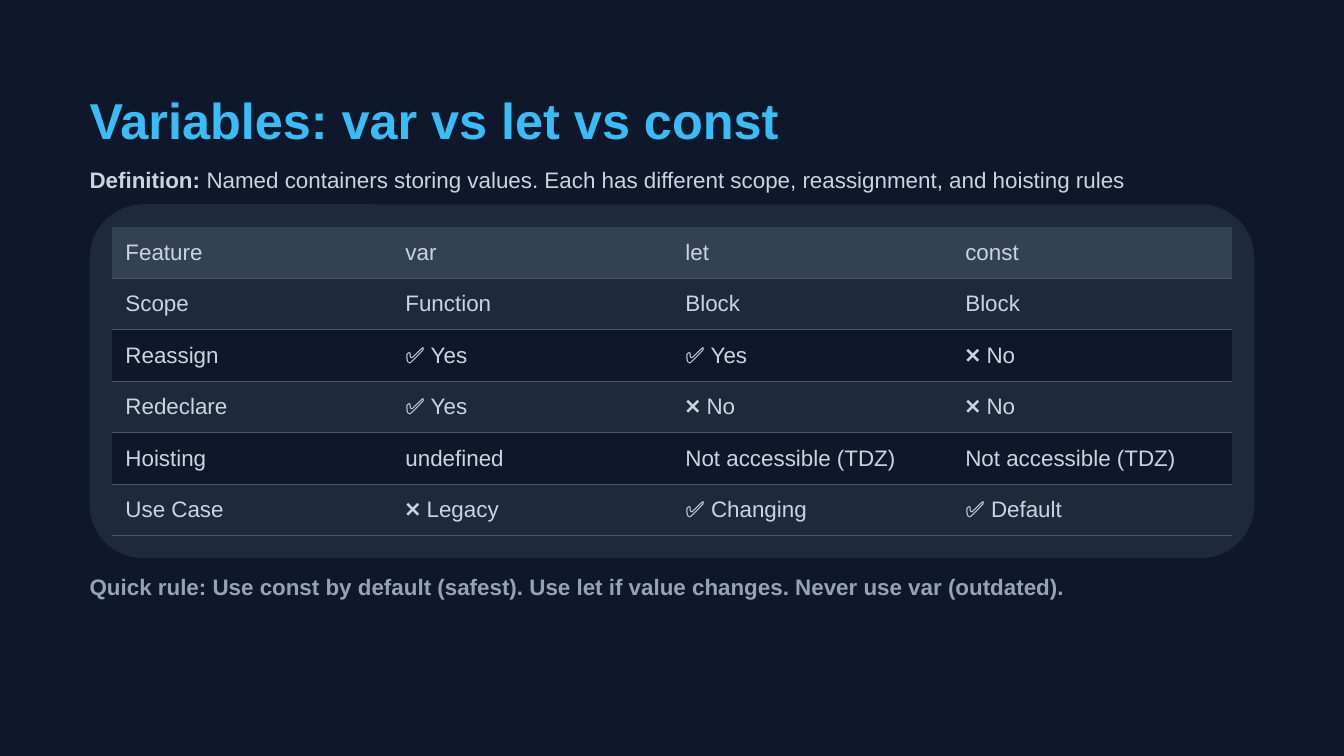
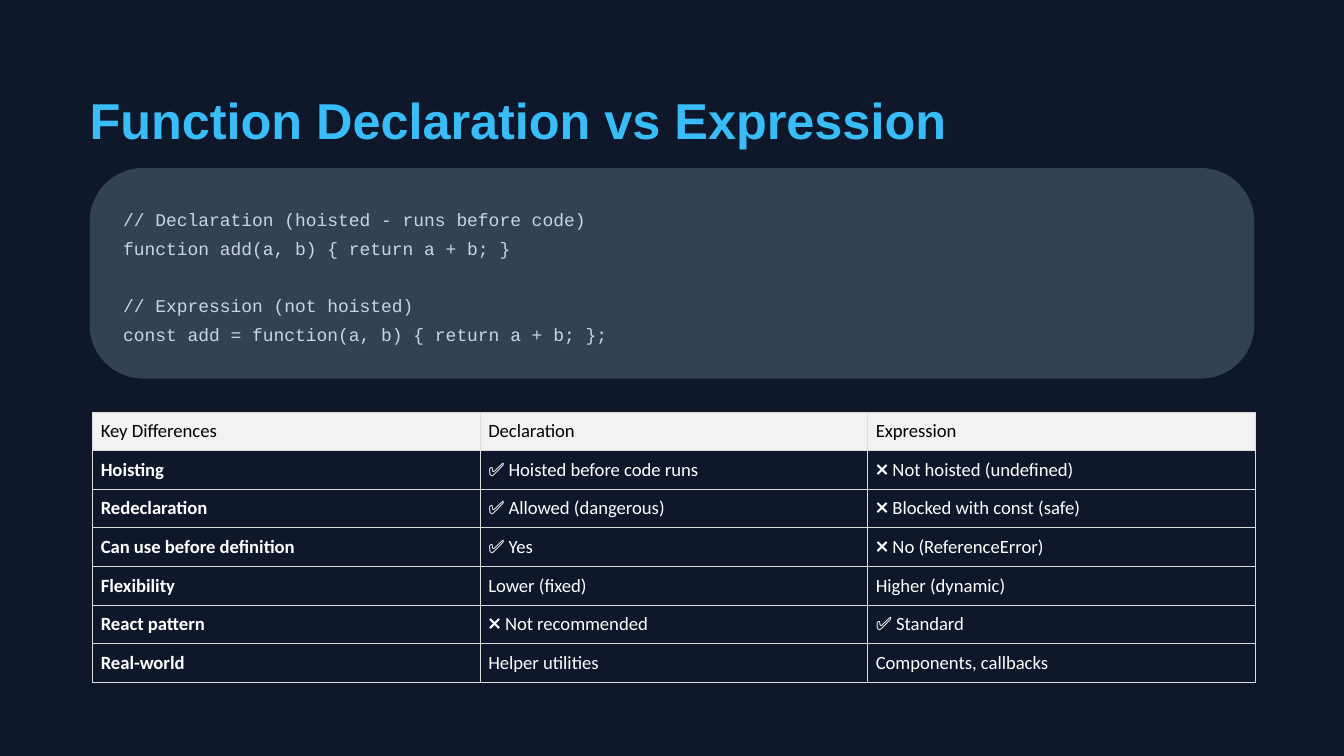
from dataclasses import dataclass

from lxml.etree import SubElement
from pptx import Presentation
from pptx.dml.color import RGBColor
from pptx.enum.shapes import MSO_SHAPE as Shape
from pptx.enum.text import MSO_ANCHOR as Anchor
from pptx.oxml.ns import qn
from pptx.util import Inches, Pt

NIGHT = RGBColor(0x0F, 0x17, 0x2A)
PANEL = RGBColor(0x1E, 0x29, 0x3B)
SLATE = RGBColor(0x33, 0x41, 0x55)
RULE = RGBColor(0x47, 0x55, 0x69)
MUTED = RGBColor(0x94, 0xA3, 0xB8)
PALE = RGBColor(0xCB, 0xD5, 0xE1)
SKY = RGBColor(0x38, 0xBD, 0xF8)
WHITE = RGBColor(0xFF, 0xFF, 0xFF)
BLACK = RGBColor(0x00, 0x00, 0x00)
HEADER_GREY = RGBColor(0xF2, 0xF2, 0xF2)
GRID_GREY = RGBColor(0xDD, 0xDD, 0xDD)

# The slide is a grid of square units, 60 columns wide
SLIDE_W, SLIDE_H = Inches(10), Inches(5.625)
UNIT = SLIDE_W / 60


@dataclass
class Box:
    """An area in grid units."""
    left: float
    top: float
    width: float
    height: float

    def emu(self):
        return [round(n * UNIT) for n in (self.left, self.top, self.width, self.height)]

    def inset(self, by):
        return Box(self.left + by, self.top + by, self.width - 2 * by, self.height - 2 * by)


TITLE = Box(4, 4, 53, 2.7)
DEFINITION = Box(4, 7.2, 53, 1.4)
FEATURE_CARD = Box(4, 9.12, 52, 15.8)
QUICK_RULE = Box(4, 25.4, 53, 1.45)
CODE_CARD = Box(4, 7.5, 52, 9.4)
DIFFERENCES = Box(4.14, 18.4, 51.9, 11.64)

FEATURES = [
    ["Feature", "var", "let", "const"],
    ["Scope", "Function", "Block", "Block"],
    ["Reassign", "✅ Yes", "✅ Yes", "❌ No"],
    ["Redeclare", "✅ Yes", "❌ No", "❌ No"],
    ["Hoisting", "undefined", "Not accessible (TDZ)", "Not accessible (TDZ)"],
    ["Use Case", "❌ Legacy", "✅ Changing", "✅ Default"],
]
KEY_DIFFERENCES = [
    ["Key Differences", "Declaration", "Expression"],
    ["Hoisting", "✅ Hoisted before code runs", "❌ Not hoisted (undefined)"],
    ["Redeclaration", "✅ Allowed (dangerous)", "❌ Blocked with const (safe)"],
    ["Can use before definition", "✅ Yes", "❌ No (ReferenceError)"],
    ["Flexibility", "Lower (fixed)", "Higher (dynamic)"],
    ["React pattern", "❌ Not recommended", "✅ Standard"],
    ["Real-world", "Helper utilities", "Components, callbacks"],
]
CODE_SAMPLES = [
    ["// Declaration (hoisted - runs before code)",
     "function add(a, b) { return a + b; }"],
    ["// Expression (not hoisted)",
     "const add = function(a, b) { return a + b; };"],
]


def style(font, size, color, bold=False, name="Arial"):
    font.name, font.size, font.bold = name, Pt(size), bold
    font.color.rgb = color


def add_frame(slide, box):
    frame = slide.shapes.add_textbox(*box.emu()).text_frame
    frame.word_wrap = True
    frame.margin_left = frame.margin_right = frame.margin_top = frame.margin_bottom = 0
    return frame


def add_line(slide, box, parts, size, spacing, color):
    """One line of text made of (text, bold) parts."""
    line = add_frame(slide, box).paragraphs[0]
    line.line_spacing = Pt(spacing)
    for text, bold in parts:
        run = line.add_run()
        run.text = text
        style(run.font, size, color, bold)


def add_card(slide, box, fill, roundness):
    card = slide.shapes.add_shape(Shape.ROUNDED_RECTANGLE, *box.emu())
    card.adjustments[0] = roundness
    card.fill.solid()
    card.fill.fore_color.rgb = fill
    card.line.fill.background()
    card.shadow.inherit = False


def set_borders(cell, sides, color, width):
    """Draw the given sides (L, R, T, B) and clear the others."""
    properties = cell._tc.get_or_add_tcPr()
    for place, side in enumerate("LRTB"):
        border = SubElement(properties, qn(f"a:ln{side}"), w=str(Pt(width)))
        properties.insert(place, border)
        if side in sides:
            fill = SubElement(border, qn("a:solidFill"))
            SubElement(fill, qn("a:srgbClr"), val=str(color))
        else:
            SubElement(border, qn("a:noFill"))


def add_grid_table(slide, box, rows, style_cell):
    """Equal columns and rows; style_cell(cell, row, column) returns the fill or None."""
    left, top, width, height = box.emu()
    table = slide.shapes.add_table(len(rows), len(rows[0]), left, top, width, height).table
    table.first_row = table.horz_banding = False
    for column in table.columns:
        column.width = width // len(rows[0])
    for r, texts in enumerate(rows):
        table.rows[r].height = height // len(rows)
        for c, text in enumerate(texts):
            cell = table.cell(r, c)
            cell.text_frame.text = text
            cell.vertical_anchor = Anchor.MIDDLE
            fill = style_cell(cell, r, c)
            if fill is None:
                cell.fill.background()
            else:
                cell.fill.solid()
                cell.fill.fore_color.rgb = fill


def style_feature(cell, row, column):
    style(cell.text_frame.paragraphs[0].runs[0].font, 12, PALE)
    set_borders(cell, "TB" if row else "B", RULE, 0.67)
    if row == 0:
        return SLATE
    return NIGHT if row % 2 == 0 else None


def style_difference(cell, row, column):
    is_header = row == 0
    style(cell.text_frame.paragraphs[0].runs[0].font, 10, BLACK if is_header else WHITE,
          bold=column == 0 and not is_header, name="Calibri")
    cell.margin_left = cell.margin_right = Inches(0.06)
    cell.margin_top = cell.margin_bottom = Inches(0.06)
    set_borders(cell, "LRTB", GRID_GREY, 0.5)
    return HEADER_GREY if is_header else None


def add_code(slide, card):
    """Code samples on a card, with one line's gap between samples."""
    add_card(slide, card, SLATE, 0.255)
    inner = card.inset(1.5)
    frame = add_frame(slide, inner)
    frame.text = "\n".join(line for sample in CODE_SAMPLES for line in sample)
    for line in frame.paragraphs:
        line.line_spacing = Pt(15.4)
        style(line.runs[0].font, 9.6, PALE, name="Courier New")
    frame.paragraphs[len(CODE_SAMPLES[0])].space_before = Pt(15.4)


def new_slide(deck, title):
    slide = deck.slides.add_slide(deck.slide_layouts[6])
    slide.background.fill.solid()
    slide.background.fill.fore_color.rgb = NIGHT
    add_line(slide, TITLE, [(title, True)], 27, 32.4, SKY)
    return slide


def build_variables(deck):
    slide = new_slide(deck, "Variables: var vs let vs const")
    add_line(slide, DEFINITION, [
        ("Definition:", True),
        (" Named containers storing values. Each has different scope, "
         "reassignment, and hoisting rules", False),
    ], 12, 16.8, PALE)
    # Comparison table on its card
    add_card(slide, FEATURE_CARD, PANEL, 0.152)
    add_grid_table(slide, FEATURE_CARD.inset(1), FEATURES, style_feature)
    add_line(slide, QUICK_RULE, [
        ("Quick rule: Use const by default (safest). Use let if value changes. "
         "Never use var (outdated).", True),
    ], 12, 16.8, MUTED)


def build_functions(deck):
    slide = new_slide(deck, "Function Declaration vs Expression")
    add_code(slide, CODE_CARD)
    add_grid_table(slide, DIFFERENCES, KEY_DIFFERENCES, style_difference)


def main():
    deck = Presentation()
    deck.slide_width, deck.slide_height = SLIDE_W, SLIDE_H
    build_variables(deck)
    build_functions(deck)
    deck.save("out.pptx")


if __name__ == "__main__":
    main()
